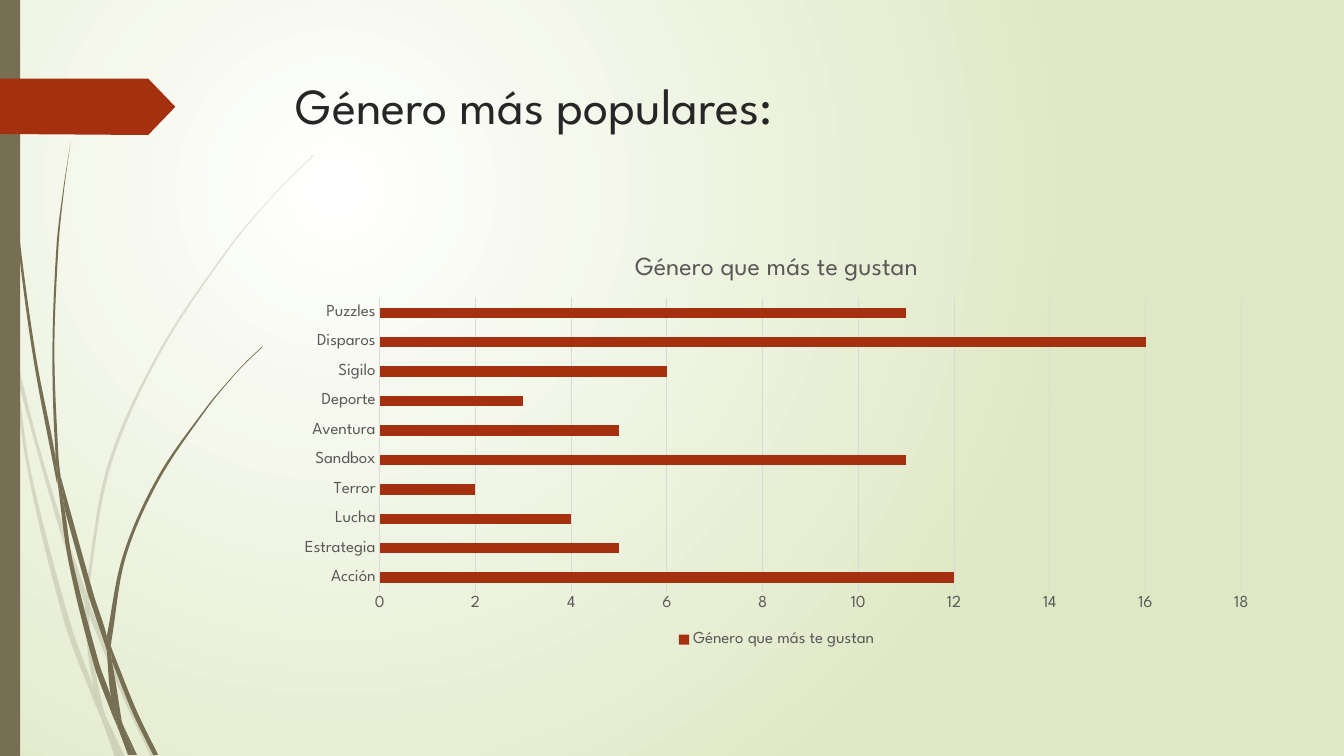
import math

import pptx
import pptx.chart.data
import pptx.dml.color
import pptx.enum.chart
import pptx.enum.shapes
import pptx.enum.text
import pptx.oxml
import pptx.oxml.ns
import pptx.util

Cm = pptx.util.Cm
Pt = pptx.util.Pt
RGB = pptx.dml.color.RGBColor.from_string
qn = pptx.oxml.ns.qn
INCH = 2.54
FONT = "League Spartan"
COLORS = {"white": "FFFFFF", "green": "DFE8C4", "olive": "766F54", "red": "A53010",
          "title": "262626", "label": "595959", "grid": "D9D9D9"}

# Every piece of grass has two edges, one running on from the other, in inches.
FAINT_GRASS = [
    ([(0, 2.82), (.09, 3.22), (.11, 3.5)], [(.1, 3.44), (0, 2.99)]),
    ([(.14, 3.45), (.36, 4.33), (.62, 5.2), (.85, 5.86)],
     [(.84, 5.99), (.58, 5.22), (.17, 3.76)]),
    ([(.88, 5.96), (.92, 6.07), (1.27, 6.92), (1.55, 7.51)],
     [(1.5, 7.51), (1.23, 6.94), (.88, 6.1)]),
    ([(1.05, 7.11), (1.24, 7.51)], [(1.19, 7.51)]),
    ([(.11, 3.5), (.17, 3.76), (.31, 4.69), (.7, 6.19), (.93, 6.83), (.99, 7.07), (1.01, 7.14)],
     [(.92, 6.93), (.65, 6.21), (.28, 4.7), (.11, 3.5)]),
    ([(.84, 5.99), (.88, 6.1), (.91, 6.46), (1.03, 7.06), (1.05, 7.11)],
     [(.96, 6.92), (.93, 6.83), (.87, 6.46), (.84, 5.99)]),
    ([(.88, 5.96), (.88, 5.84), (1.1, 4.62), (1.6, 3.49), (2.29, 2.45), (2.68, 1.98),
      (2.9, 1.75), (3.12, 1.54)],
     [(3.12, 1.53), (2.89, 1.75), (2.68, 1.97), (2.28, 2.44), (1.58, 3.48), (1.07, 4.61),
      (.85, 5.84)]),
    ([(1.01, 7.14), (1.19, 7.51)], [(1.14, 7.51)]),
    ([(.85, 5.86), (.88, 5.96), (.88, 6.1)], [(.84, 5.99)]),
    ([(.93, 6.83), (.96, 6.92), (1.05, 7.11), (1.19, 7.51)], [(1.01, 7.14), (.99, 7.07)]),
]
DARK_GRASS = [
    ([(.04, 0), (.05, .48), (.08, 1.09), (.19, 2.32), (.36, 3.55), (.55, 4.53), (.57, 4.81)],
     [(.56, 4.77), (.33, 3.55), (.17, 2.33), (.07, 1.1), (.04, .48), (.03, 0)]),
    ([(.6, 4.72), (.93, 5.9), (1.06, 6.31), (1.06, 6.45)], [(.88, 5.92), (.64, 5.05)]),
    ([(1.1, 6.41), (1.13, 6.49), (1.36, 7.06), (1.57, 7.49)],
     [(1.52, 7.49), (1.32, 7.08), (1.11, 6.56)]),
    ([(.57, 4.77), (.64, 5.05), (.72, 5.56), (.98, 6.57), (1.1, 6.91), (1.16, 7.17), (1.17, 7.22)],
     [(1.11, 7.08), (.93, 6.59), (.68, 5.57), (.57, 4.77)]),
    ([(.6, 4.72), (.58, 4.53), (.54, 3.49), (.58, 2.45), (.63, 1.93), (.7, 1.41)],
     [(.7, 1.41), (.62, 1.93), (.56, 2.45), (.52, 3.49), (.55, 4.49), (.6, 4.72)]),
    ([(1.22, 7.19), (1.36, 7.49)], [(1.33, 7.49)]),
    ([(.55, 4.49), (.6, 4.72), (.64, 5.05)], [(.57, 4.77), (.55, 4.53)]),
    ([(1.1, 6.41), (1.11, 6.33), (1.25, 5.52), (1.58, 4.76), (2.05, 4.06), (2.31, 3.74),
      (2.45, 3.59), (2.61, 3.44)],
     [(2.6, 3.44), (2.45, 3.58), (2.31, 3.73), (2.04, 4.05), (1.56, 4.74), (1.22, 5.51),
      (1.06, 6.31)]),
    ([(1.17, 7.22), (1.31, 7.49)], [(1.27, 7.49)]),
    ([(1.06, 6.45), (1.11, 6.56), (1.21, 7.16), (1.22, 7.19)],
     [(1.16, 7.06), (1.1, 6.91), (1.06, 6.45)]),
    ([(1.06, 6.31), (1.1, 6.41), (1.11, 6.56)], [(1.06, 6.45)]),
    ([(1.1, 6.91), (1.16, 7.06), (1.22, 7.19), (1.33, 7.49)],
     [(1.3, 7.49), (1.17, 7.22), (1.16, 7.17)]),
]
TAG = [(0, .78), (1.47, .78), (1.74, 1.06), (1.47, 1.34), (0, 1.33)]


def bend(edge):
    """Return two Bézier handles and an end point for each step along an edge."""
    padded = [edge[0], *edge, edge[-1]]
    handles = []
    for a, b, c, d in zip(padded, padded[1:], padded[2:], padded[3:]):
        length = math.dist(b, c)
        leave = length / 3 / (math.dist(a, b) + length or 1)
        arrive = length / 3 / (length + math.dist(c, d) or 1)
        handles += [tuple(q + (r - p) * leave for p, q, r in zip(a, b, c)),
                    tuple(r - (s - q) * arrive for q, r, s in zip(b, c, d)), c]
    return handles


def add_outline(shapes, points, color, curved=False):
    corners = [(Cm(x * INCH), Cm(y * INCH)) for x, y in points]
    builder = shapes.build_freeform(*corners[0])
    builder.add_line_segments(corners[1:])
    outline = builder.convert_to_shape()
    if curved:
        steps = list(outline._element.iter(qn("a:lnTo")))
        for curve, handle, end in zip(steps[::3], steps[1::3], steps[2::3]):
            curve.tag = qn("a:cubicBezTo")
            for step in (handle, end):
                curve.append(step[0])
                step.getparent().remove(step)
    outline.shadow.inherit = False
    outline.line.fill.background()
    outline.fill.solid()
    outline.fill.fore_color.rgb = RGB(COLORS[color])
    return outline


deck = pptx.Presentation()
deck.slide_width, deck.slide_height = Cm(33.87), Cm(19.05)
page = deck.slides.add_slide(deck.slide_layouts[6])

# Background: light spreading from the upper left
backdrop = page.background.fill
backdrop.gradient()
for stop, color in zip(backdrop.gradient_stops, ("white", "green")):
    stop.color.rgb = RGB(COLORS[color])
gradient = next(page._element.iter(qn("a:gradFill")))
gradient.replace(gradient.find(qn("a:lin")), pptx.oxml.parse_xml(
    f'<a:path {pptx.oxml.ns.nsdecls("a")} path="circle">'
    '<a:fillToRect l="50000" t="50000" r="100000" b="100000"/></a:path>'))

# Grass, side strip and red tag
for pieces, opacity in ((FAINT_GRASS, 20), (DARK_GRASS, 100)):
    tuft = page.shapes.add_group_shape()
    for edge, other_edge in pieces:
        points = [edge[0], *bend(edge), *bend([edge[-1], other_edge[0]]), *bend(other_edge)]
        blade = add_outline(tuft.shapes, points, "olive", curved=True)
        if opacity < 100:
            shade = next(blade._element.spPr.iter(qn("a:srgbClr")))
            shade.append(pptx.oxml.parse_xml(
                f'<a:alpha {pptx.oxml.ns.nsdecls("a")} val="{opacity * 1000}"/>'))

strip = page.shapes.add_shape(pptx.enum.shapes.MSO_SHAPE.RECTANGLE,
                              0, 0, Cm(0.51), deck.slide_height)
strip.shadow.inherit = False
strip.line.fill.background()
strip.fill.solid()
strip.fill.fore_color.rgb = RGB(COLORS["olive"])
add_outline(page.shapes, TAG, "red")

# Title
box = page.shapes.add_textbox(Cm(7.21), Cm(1.74), Cm(24.77), Cm(3.56))
box.text_frame.word_wrap = True
box.text_frame.vertical_anchor = pptx.enum.text.MSO_ANCHOR.TOP
span = box.text_frame.paragraphs[0].add_run()
span.text = "Género más populares:"

# Chart
genres = {"Acción": 12, "Estrategia": 5, "Lucha": 4, "Terror": 2, "Sandbox": 11,
          "Aventura": 5, "Deporte": 3, "Sigilo": 6, "Disparos": 16, "Puzzles": 11}
chart_name = "Género que más te gustan"
data = pptx.chart.data.CategoryChartData()
data.categories = list(genres)
data.add_series(chart_name, list(genres.values()))
chart = page.shapes.add_chart(pptx.enum.chart.XL_CHART_TYPE.BAR_CLUSTERED,
                              Cm(7.19), Cm(5.93), Cm(24.77), Cm(10.49), data).chart
chart.has_title = True
heading = chart.chart_title.text_frame.paragraphs[0].add_run()
heading.text = chart_name
chart.has_legend = True
chart.legend.position = pptx.enum.chart.XL_LEGEND_POSITION.BOTTOM
chart.legend.include_in_layout = False

plot = chart.plots[0]
plot.gap_width = 182
plot.vary_by_categories = False
bars = plot.series[0].format.fill
bars.solid()
bars.fore_color.rgb = RGB(COLORS["red"])

category_axis, value_axis = chart.category_axis, chart.value_axis
for axis in (category_axis, value_axis):
    axis.major_tick_mark = axis.minor_tick_mark = pptx.enum.chart.XL_TICK_MARK.NONE
value_axis.has_major_gridlines = True
value_axis.format.line.fill.background()
for line in (category_axis.format.line, value_axis.major_gridlines.format.line):
    line.color.rgb = RGB(COLORS["grid"])
    line.width = Pt(0.75)

for font, size, color in ((span.font, 36, "title"),
                          (chart.font, 10, "label"),
                          (heading.font, 18.6, "label"),
                          (chart.legend.font, 12, "label"),
                          (category_axis.tick_labels.font, 12, "label"),
                          (value_axis.tick_labels.font, 12, "label")):
    for attribute, value in {"name": FONT, "size": Pt(size), "bold": False}.items():
        setattr(font, attribute, value)
    font.color.rgb = RGB(COLORS[color])

deck.save("out.pptx")
